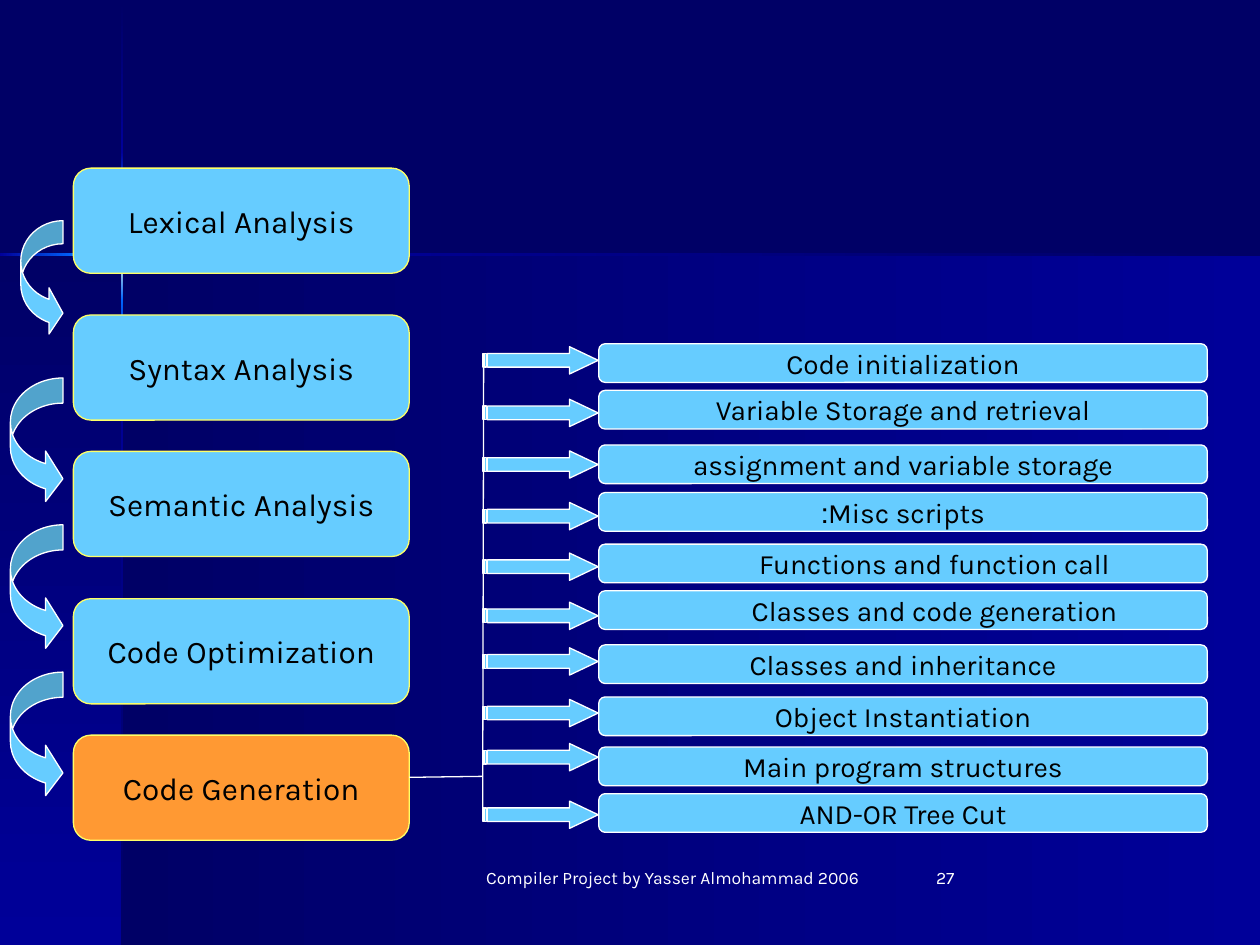
from copy import deepcopy
from dataclasses import dataclass

from lxml.etree import SubElement
from pptx import Presentation
from pptx.dml.color import RGBColor as RGB
from pptx.enum.shapes import MSO_CONNECTOR as Connector, MSO_SHAPE as Shape
from pptx.enum.text import MSO_ANCHOR as Anchor, PP_ALIGN as Align
from pptx.oxml.ns import qn
from pptx.util import Cm, Pt


@dataclass(frozen=True)
class Theme:
    font: str = "Karla"
    navy: str = "000066"
    blue: str = "000099"
    glow: str = "0066FF"
    spark: str = "FFFFCC"
    sky: str = "66CCFF"
    orange: str = "FF9933"
    yellow: str = "FFFF66"
    white: str = "FFFFFF"
    black: str = "000000"
    phase_size: int = 18
    task_size: int = 16
    footer_size: int = 10
    line_width: float = 0.75


theme = Theme()
deck = Presentation()
deck.slide_width, deck.slide_height = Cm(25.4), Cm(19.05)
slide = deck.slides.add_slide(deck.slide_layouts[6])
slide.background.fill.solid()
slide.background.fill.fore_color.rgb = RGB.from_string(theme.navy)


def add_block(kind, left, top, width, height, fill=theme.sky, line=theme.white):
    block = slide.shapes.add_shape(kind, Cm(left), Cm(top), Cm(width), Cm(height))
    block.shadow.inherit = False
    block.fill.solid()
    block.fill.fore_color.rgb = RGB.from_string(fill)
    block.line.color.rgb = RGB.from_string(line)
    block.line.width = Pt(theme.line_width)
    return block


def write(shape, text, size, color=theme.black, align=Align.CENTER):
    paragraph = shape.text_frame.paragraphs[0]
    paragraph.alignment = align
    run = paragraph.add_run()
    run.text = text
    run.font.name = theme.font
    run.font.size = Pt(size)
    run.font.color.rgb = RGB.from_string(color)
    return paragraph


# Backdrop: gradient panels and the glowing cross lines
DOWN, LEFTWARD = 270, 180
backdrop = [
    (2.46, 5.13, 22.94, 13.92, LEFTWARD, [theme.blue, theme.navy]),
    (0, 5.13, 2.46, 13.92, DOWN, [theme.navy, theme.blue]),
    (2.44, 0.03, 0.05, 3.04, DOWN, [theme.navy, theme.blue]),
    (2.44, 7.16, 0.05, 11.89, DOWN, [theme.blue, theme.navy]),
    (4.5, 5.11, 20.9, 0.05, LEFTWARD, [theme.navy, theme.blue]),
    (2.44, 6.05, 0.05, 1.11, DOWN, [theme.glow, theme.blue]),
    (2.44, 3.07, 0.05, 1.12, DOWN, [theme.blue, theme.glow]),
    (2.44, 4.19, 0.05, 1.86, DOWN, [theme.glow, theme.spark, theme.glow]),
    (0, 5.11, 1.55, 0.05, LEFTWARD, [theme.glow, theme.blue]),
]
for left, top, width, height, angle, colors in backdrop:
    panel = add_block(Shape.RECTANGLE, left, top, width, height)
    panel.line.fill.background()
    panel.fill.gradient()
    panel.fill.gradient_angle = angle
    stop_list = next(panel._element.spPr.iter(qn("a:gsLst")))
    for _ in colors[2:]:
        stop_list.append(deepcopy(stop_list[0]))
    for index, (stop, color) in enumerate(zip(panel.fill.gradient_stops, colors)):
        stop.position = index / (len(colors) - 1)
        stop.color.rgb = RGB.from_string(color)

# Compiler phases
phases = [
    ("Lexical Analysis", 3.39, theme.sky),
    ("Syntax Analysis", 6.35, theme.sky),
    ("Semantic Analysis", 9.1, theme.sky),
    ("Code Optimization", 12.07, theme.sky),
    ("Code Generation", 14.82, theme.orange),
]
for name, top, color in phases:
    phase = add_block(Shape.ROUNDED_RECTANGLE, 1.48, top, 6.77, 2.12, color, theme.yellow)
    phase.text_frame.word_wrap = False
    phase.text_frame.vertical_anchor = Anchor.MIDDLE
    write(phase, name, theme.phase_size)

# Curved arrows from phase to phase
for left, top, width, height in [
    (0.42, 4.45, 0.85, 2.33),
    (0.21, 7.62, 1.06, 2.54),
    (0.21, 10.58, 1.06, 2.54),
    (0.21, 13.55, 1.06, 2.54),
]:
    turn = add_block(Shape.CURVED_RIGHT_ARROW, left, top, width, height)
    turn.adjustments[0] = 0.2 * height / width
    turn.adjustments[1] = 0.4 * height / width
    turn.adjustments[2] = 0.33

# Branch line from code generation to its tasks
for x1, y1, x2, y2 in [(9.73, 16.46, 9.75, 7.19), (9.73, 15.65, 8.25, 15.67)]:
    branch = slide.shapes.add_connector(Connector.STRAIGHT, Cm(x1), Cm(y1), Cm(x2), Cm(y2))
    branch.line.color.rgb = RGB.from_string(theme.white)
    branch.line.width = Pt(theme.line_width)
    SubElement(branch._element.spPr, qn("a:effectLst"))

# Code generation tasks: text, box top, arrow top, indent
tasks = [
    ("Code initialization", 6.93, 6.99, 0),
    ("Variable Storage and retrieval", 7.87, 8.05, 0),
    ("assignment and variable storage", 8.97, 9.09, 0),
    ("Misc scripts:", 9.93, 10.13, 0),
    ("Functions and function call", 10.97, 11.15, 1.27),
    ("Classes and code generation", 11.91, 12.14, 1.27),
    ("Classes and inheritance", 13, 13.06, 0),
    ("Object Instantiation", 14.05, 14.1, 0),
    ("Main program structures", 15.06, 14.99, 0),
    ("AND-OR Tree Cut", 16, 16.15, 0),
]
for name, box_top, arrow_top, indent in tasks:
    arrow = add_block(Shape.STRIPED_RIGHT_ARROW, 9.74, arrow_top, 2.32, 0.55)
    arrow.adjustments[0] = 0.5
    arrow.adjustments[1] = 1.05
    task = add_block(Shape.ROUNDED_RECTANGLE, 12.07, box_top, 12.27, 0.78)
    task.text_frame.word_wrap = False
    task.text_frame.vertical_anchor = Anchor.MIDDLE
    task.text_frame.margin_top = task.text_frame.margin_bottom = Cm(0.15)
    properties = write(task, name, theme.task_size)._p.get_or_add_pPr()
    if indent:
        properties.set("marL", str(Cm(indent)))
    else:
        properties.set("rtl", "1")  # right-to-left puts the colon in front

# Footer and slide number
for text, left, width, align in [
    ("Compiler Project by Yasser Almohammad 2006", 9.53, 8.05, Align.CENTER),
    ("27", 18.62, 5.28, Align.LEFT),
]:
    footer = slide.shapes.add_textbox(Cm(left), Cm(17.35), Cm(width), Cm(1.27))
    footer.text_frame.word_wrap = True
    write(footer, text, theme.footer_size, theme.white, align)

deck.save("out.pptx")
